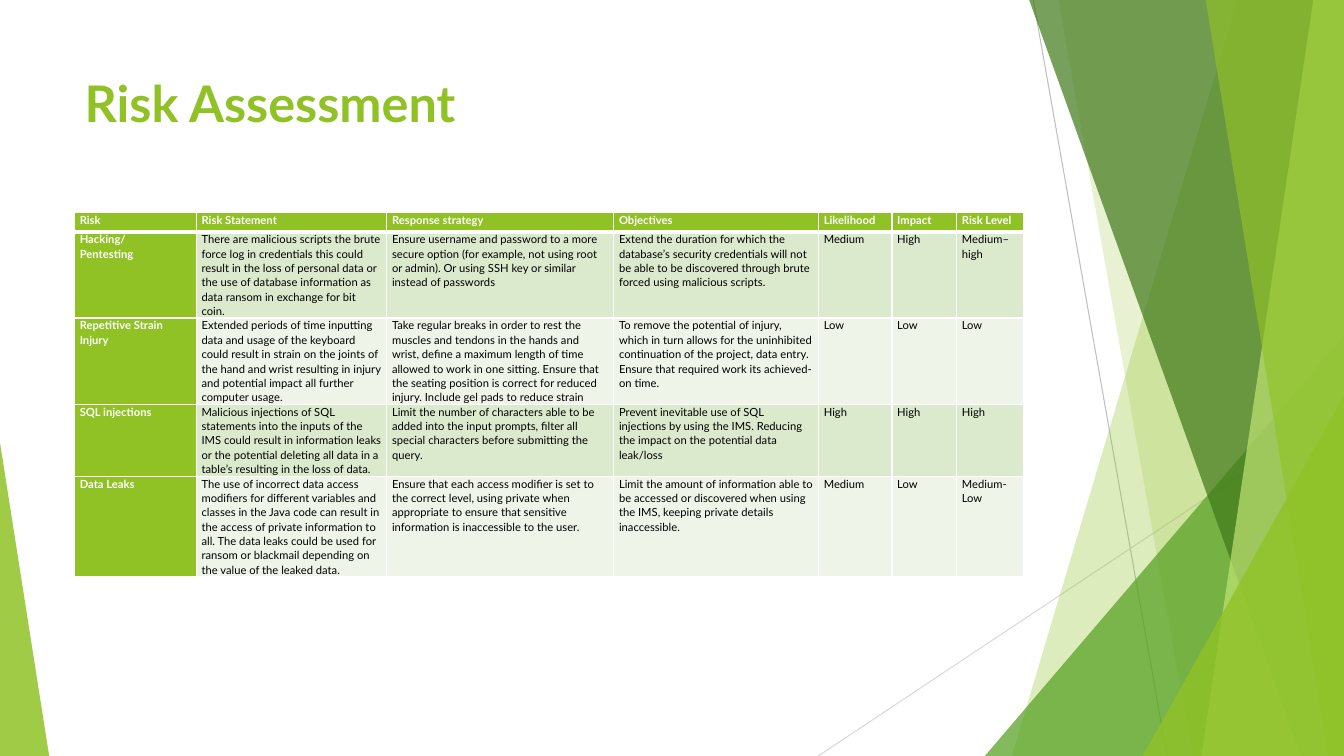
from lxml import etree
from pptx import Presentation
from pptx import util as u
from pptx.dml import color
from pptx.enum import shapes, text
from pptx.oxml import ns

Cm = u.Cm
FONT = "Lato"
WIDTH, HEIGHT = 33.87, 19.05
COLORS = {
    "green": "90C226", "leaf": "54A021", "forest": "3F7819", "lime": "C0E474",
    "band_dark": "DBE9CD", "band_light": "EEF4E8",
    "grey": "BFBFBF", "light_grey": "D9D9D9", "white": "FFFFFF", "black": "000000",
}
# Start and end point, colour
LINES = [
    (26.04, 0, 29.41, HEIGHT, "grey"),
    (WIDTH, 10.24, 20.62, HEIGHT, "light_grey"),
]
# Left end of the top edge, left end of the bottom edge, colour, opacity in percent
BACK_BANDS = [(31.19, 25.5, "green", 30), (26.67, 30.05, "green", 20)]
FRONT_BANDS = [
    (25.93, 32.79, "forest", 70),
    (33.1, 30.28, "lime", 70),
    (30.38, 33.48, "green", 65),
]
COLUMN_WIDTHS = [3.07, 4.8, 5.72, 5.16, 1.85, 1.63, 1.68]
ROW_HEIGHTS = [0.48, 1.52, 1.73, 1.45, 1.83]
RISKS = [
    ["Risk", "Risk Statement", "Response strategy", "Objectives",
     "Likelihood", "Impact", "Risk Level"],
    ["Hacking/\nPentesting",
     "There are malicious scripts the brute force log in credentials this could result in "
     "the loss of personal data or the use of database information as data ransom in "
     "exchange for bit coin.",
     "Ensure username and password to a more secure option (for example, not using root or "
     "admin). Or using SSH key or similar instead of passwords",
     "Extend the duration for which the database’s security credentials will not be able to "
     "be discovered through brute forced using malicious scripts.",
     "Medium", "High", "Medium–high"],
    ["Repetitive Strain Injury",
     "Extended periods of time inputting data and usage of the keyboard could result in "
     "strain on the joints of the hand and wrist resulting in injury and potential impact "
     "all further computer usage.",
     "Take regular breaks in order to rest the muscles and tendons in the hands and wrist, "
     "define a maximum length of time allowed to work in one sitting. Ensure that the "
     "seating position is correct for reduced injury. Include gel pads to reduce strain",
     "To remove the potential of injury, which in turn allows for the uninhibited "
     "continuation of the project, data entry. Ensure that required work its achieved-on "
     "time.",
     "Low", "Low", "Low"],
    ["SQL injections",
     "Malicious injections of SQL statements into the inputs of the IMS could result in "
     "information leaks or the potential deleting all data in a table’s resulting in the "
     "loss of data.",
     "Limit the number of characters able to be added into the input prompts, filter all "
     "special characters before submitting the query.",
     "Prevent inevitable use of SQL injections by using the IMS. Reducing the impact on the "
     "potential data leak/loss",
     "High", "High", "High"],
    ["Data Leaks",
     "The use of incorrect data access modifiers for different variables and classes in the "
     "Java code can result in the access of private information to all. The data leaks could "
     "be used for ransom or blackmail depending on the value of the leaked data.",
     "Ensure that each access modifier is set to the correct level, using private when "
     "appropriate to ensure that sensitive information is inaccessible to the user.",
     "Limit the amount of information able to be accessed or discovered when using the IMS, "
     "keeping private details inaccessible.",
     "Medium", "Low", "Medium-Low"],
]


def rgb(name):
    return color.RGBColor.from_string(COLORS[name])


def paint(shape, fill_color, opacity):
    """Give the shape a translucent fill and no outline or shadow."""
    shape.shadow.inherit = False
    shape.line.fill.background()
    shape.fill.solid()
    shape.fill.fore_color.rgb = rgb(fill_color)
    fill = shape.fill._xPr.find(ns.qn("a:solidFill"))
    etree.SubElement(fill[0], ns.qn("a:alpha"), val=str(opacity * 1000))


def add_line(slide, x1, y1, x2, y2, line_color):
    line = slide.shapes.add_connector(
        shapes.MSO_CONNECTOR.STRAIGHT, Cm(x1), Cm(y1), Cm(x2), Cm(y2))
    line.line.color.rgb = rgb(line_color)
    line.line.width = u.Pt(0.75)
    etree.SubElement(line._element.spPr, ns.qn("a:effectLst"))


def add_band(slide, top_x, bottom_x, fill_color, opacity):
    """Add a full-height band that reaches the right edge of the slide."""
    top = Cm(-0.02)
    builder = slide.shapes.build_freeform(Cm(top_x), top)
    builder.add_line_segments([
        (Cm(WIDTH), top), (Cm(WIDTH), Cm(HEIGHT)), (Cm(bottom_x), Cm(HEIGHT))])
    paint(builder.convert_to_shape(), fill_color, opacity)


def add_triangle(slide, left, top, right, apex, fill_color, opacity):
    """Add a triangle standing on the bottom edge of the slide."""
    triangle = slide.shapes.add_shape(
        shapes.MSO_SHAPE.ISOSCELES_TRIANGLE,
        Cm(left), Cm(top), Cm(right - left), Cm(HEIGHT - top))
    triangle.adjustments[0] = apex
    paint(triangle, fill_color, opacity)


def add_run(paragraph, words, size, font_color, bold):
    run = paragraph.add_run()
    run.text = words
    run.font.name = FONT
    run.font.size = u.Pt(size)
    run.font.bold = bold
    run.font.color.rgb = rgb(font_color)


def set_title(slide, words):
    title = slide.shapes.title
    title.left, title.top, title.width, title.height = Cm(1.88), Cm(1.7), Cm(23.88), Cm(3.66)
    frame = title.text_frame
    frame.vertical_anchor = text.MSO_ANCHOR.TOP
    frame.paragraphs[0].alignment = text.PP_ALIGN.LEFT
    add_run(frame.paragraphs[0], words, 36, "green", True)


def set_borders(cell, top, bottom):
    """Draw white borders; top and bottom are widths in points."""
    properties = cell._tc.get_or_add_tcPr()
    for side, width in (("L", 1), ("R", 1), ("T", top), ("B", bottom)):
        line = etree.SubElement(properties, ns.qn(f"a:ln{side}"), w=str(u.Pt(width)))
        fill = etree.SubElement(line, ns.qn("a:solidFill"))
        etree.SubElement(fill, ns.qn("a:srgbClr"), val=COLORS["white"])


def fill_cell(cell, words, fill_color, heading):
    cell.margin_left = cell.margin_right = Cm(0.13)
    cell.margin_top = cell.margin_bottom = 0
    cell.fill.solid()
    cell.fill.fore_color.rgb = rgb(fill_color)
    frame = cell.text_frame
    for index, line in enumerate(words.split("\n")):
        paragraph = frame.add_paragraph() if index else frame.paragraphs[0]
        paragraph.line_spacing = 1.07
        add_run(paragraph, line, 8, "white" if heading else "black", heading)


def add_risk_table(slide):
    frame = slide.shapes.add_table(
        len(RISKS), len(COLUMN_WIDTHS), Cm(1.88), Cm(5.36), Cm(23.88), Cm(sum(ROW_HEIGHTS)))
    table = frame.table
    for column, width in zip(table.columns, COLUMN_WIDTHS):
        column.width = Cm(width)
    for row, height in zip(table.rows, ROW_HEIGHTS):
        row.height = Cm(height)
    for row_index, risk in enumerate(RISKS):
        band = "band_dark" if row_index % 2 else "band_light"
        for column_index, words in enumerate(risk):
            cell = table.cell(row_index, column_index)
            heading = row_index == 0 or column_index == 0
            set_borders(cell, 3 if row_index == 1 else 1, 3 if row_index == 0 else 1)
            fill_cell(cell, words, "green" if heading else band, heading)
    frame.height = Cm(9.91)


def main():
    presentation = Presentation()
    presentation.slide_width, presentation.slide_height = Cm(WIDTH), Cm(HEIGHT)
    slide = presentation.slides.add_slide(presentation.slide_layouts[5])
    set_title(slide, "Risk Assessment")
    for line in LINES:
        add_line(slide, *line)
    for band in BACK_BANDS:
        add_band(slide, *band)
    add_triangle(slide, 24.82, 8.46, WIDTH, 1, "leaf", 72)
    for band in FRONT_BANDS:
        add_band(slide, *band)
    add_triangle(slide, 28.8, 9.98, WIDTH, 1, "green", 80)
    add_triangle(slide, 0, 11.15, 1.24, 0, "green", 85)
    add_risk_table(slide)
    presentation.save("out.pptx")


if __name__ == "__main__":
    main()
